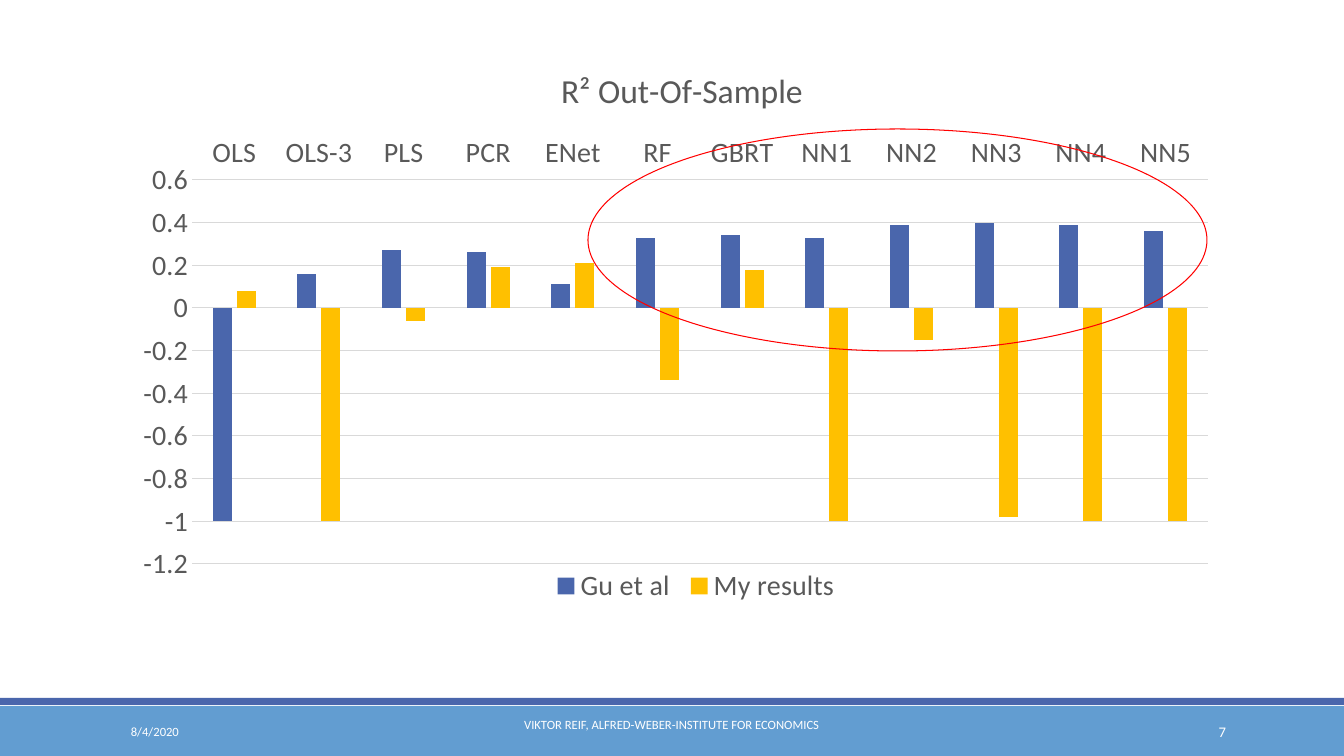
from dataclasses import dataclass

from lxml.etree import SubElement
from pptx import Presentation
from pptx.chart.data import CategoryChartData
from pptx.dml.color import RGBColor
from pptx.enum.chart import XL_CHART_TYPE, XL_LEGEND_POSITION, XL_TICK_LABEL_POSITION, XL_TICK_MARK
from pptx.enum.shapes import MSO_SHAPE
from pptx.enum.text import MSO_ANCHOR, PP_ALIGN
from pptx.oxml.ns import qn
from pptx.util import Pt

EMU_PER_PX = 914400 / 100.8
SLIDE_SIZE = (1344, 756)
CHART_BOX = (121, 45, 1109, 602)
MODELS = ["OLS", "OLS-3", "PLS", "PCR", "ENet", "RF", "GBRT", "NN1", "NN2", "NN3", "NN4", "NN5"]
RESULTS = {
    "Gu et al": [-1, 0.16, 0.27, 0.26, 0.11, 0.33, 0.34, 0.33, 0.39, 0.4, 0.39, 0.36],
    "My results": [0.08, -1, -0.06, 0.19, 0.21, -0.34, 0.18, -1, -0.15, -0.98, -1, -1],
}


@dataclass(frozen=True)
class Theme:
    """Colours and type sizes of the slide."""
    font: str = "Calibri"
    navy: str = "4A66AC"
    sky: str = "629DD1"
    gold: str = "FFC000"
    red: str = "FF0000"
    white: str = "FFFFFF"
    ink: str = "595959"
    rule: str = "D9D9D9"
    chart_title: float = 24
    chart_text: float = 20
    footer: float = 9
    page_number: float = 10.5
    hairline: float = 0.75


THEME = Theme()


def px(*lengths):
    """Turn pixel lengths into EMU."""
    return [round(length * EMU_PER_PX) for length in lengths]


def apply(target, formats):
    """Set each format value on the target."""
    for attribute, value in formats.items():
        setattr(target, attribute, value)


def style_font(font, size, color):
    """Give a font the theme face, a size and a colour."""
    apply(font, {"name": THEME.font, "size": Pt(size), "bold": False})
    font.color.rgb = RGBColor.from_string(color)


def style_line(line, color):
    """Make a line a hairline of one colour."""
    line.color.rgb = RGBColor.from_string(color)
    line.width = Pt(THEME.hairline)


def add_band(slide, box, color):
    """Add a filled band without an outline."""
    band = slide.shapes.add_shape(MSO_SHAPE.RECTANGLE, *px(*box))
    band.shadow.inherit = False
    band.fill.solid()
    band.fill.fore_color.rgb = RGBColor.from_string(color)
    band.line.fill.background()


def add_highlight(slide, box):
    """Add an unfilled red ellipse."""
    highlight = slide.shapes.add_shape(MSO_SHAPE.OVAL, *px(*box))
    highlight.shadow.inherit = False
    highlight.fill.background()
    style_line(highlight.line, THEME.red)


def add_footer(slide, box, wording, size, align, anchor=MSO_ANCHOR.MIDDLE):
    """Add one white text of the footer band."""
    frame = slide.shapes.add_textbox(*px(*box)).text_frame
    apply(frame, {"word_wrap": True, "vertical_anchor": anchor, "text": wording})
    paragraph = frame.paragraphs[0]
    paragraph.alignment = align
    style_font(paragraph.runs[0].font, size, THEME.white)


def place_in_chart(part, index, left, top, size=None, inner=False):
    """Fix a chart part at a slide position in pixels."""
    for automatic in part.findall(qn("c:layout")):
        part.remove(automatic)
    layout = SubElement(part, qn("c:layout"))
    part.insert(index, layout)
    manual = SubElement(layout, qn("c:manualLayout"))
    chart_left, chart_top, chart_width, chart_height = CHART_BOX
    settings = {"layoutTarget": "inner"} if inner else {}
    settings |= {"xMode": "edge", "yMode": "edge",
                 "x": (left - chart_left) / chart_width, "y": (top - chart_top) / chart_height}
    if size:
        settings |= {"w": size[0] / chart_width, "h": size[1] / chart_height}
    for tag, value in settings.items():
        SubElement(manual, qn(f"c:{tag}")).set("val", str(value))


def style_axes(chart):
    """Format both axes and the gridlines."""
    models, scores = chart.category_axis, chart.value_axis
    for axis in (models, scores):
        apply(axis, {"major_tick_mark": XL_TICK_MARK.NONE, "minor_tick_mark": XL_TICK_MARK.NONE})
        style_font(axis.tick_labels.font, THEME.chart_text, THEME.ink)
    models.tick_label_position = XL_TICK_LABEL_POSITION.HIGH
    style_line(models.format.line, THEME.rule)
    scores.format.line.fill.background()
    style_line(scores.major_gridlines.format.line, THEME.rule)


def add_results_chart(slide):
    """Add the clustered columns comparing both sets of results."""
    comparison = CategoryChartData()
    comparison.categories = MODELS
    for name, scores in RESULTS.items():
        comparison.add_series(name, scores)
    chart = slide.shapes.add_chart(XL_CHART_TYPE.COLUMN_CLUSTERED, *px(*CHART_BOX), comparison).chart
    style_font(chart.font, THEME.chart_text, THEME.ink)
    style_axes(chart)

    plot = chart.plots[0]
    apply(plot, {"gap_width": 219, "overlap": -27, "vary_by_categories": False})
    for columns, color in zip(plot.series, (THEME.navy, THEME.gold)):
        columns.invert_if_negative = False
        columns.format.fill.solid()
        columns.format.fill.fore_color.rgb = RGBColor.from_string(color)

    heading = chart.chart_title.text_frame
    heading.text = "R² Out-Of-Sample"
    style_font(heading.paragraphs[0].runs[0].font, THEME.chart_title, THEME.ink)
    chart.has_legend = True
    apply(chart.legend, {"position": XL_LEGEND_POSITION.BOTTOM, "include_in_layout": False})
    style_font(chart.legend.font, THEME.chart_text, THEME.ink)

    plot_area = chart.element.find(".//" + qn("c:plotArea"))
    place_in_chart(plot_area, 0, 192, 180, (1016, 384), inner=True)
    place_in_chart(chart.element.find(".//" + qn("c:title")), 1, 555, 62)
    place_in_chart(chart.element.find(".//" + qn("c:legend")), 1, 546, 567, (300, 38))


def main():
    """Build the slide and save it."""
    deck = Presentation()
    deck.slide_width, deck.slide_height = px(*SLIDE_SIZE)
    slide = deck.slides.add_slide(deck.slide_layouts[6])
    add_band(slide, (0, 706, 1344, 50), THEME.sky)
    add_band(slide, (0, 698, 1344, 7), THEME.navy)
    add_footer(slide, (121, 712, 272, 40), "8/4/2020", THEME.footer, PP_ALIGN.LEFT)
    add_footer(slide, (406, 712, 531, 40), "VIKTOR REIF, ALFRED-WEBER-INSTITUTE FOR ECONOMICS",
               THEME.footer, PP_ALIGN.CENTER, MSO_ANCHOR.TOP)
    add_footer(slide, (1092, 712, 144, 40), "7", THEME.page_number, PP_ALIGN.RIGHT)
    add_results_chart(slide)
    add_highlight(slide, (588, 129, 619, 222))
    deck.save("out.pptx")


if __name__ == "__main__":
    main()
